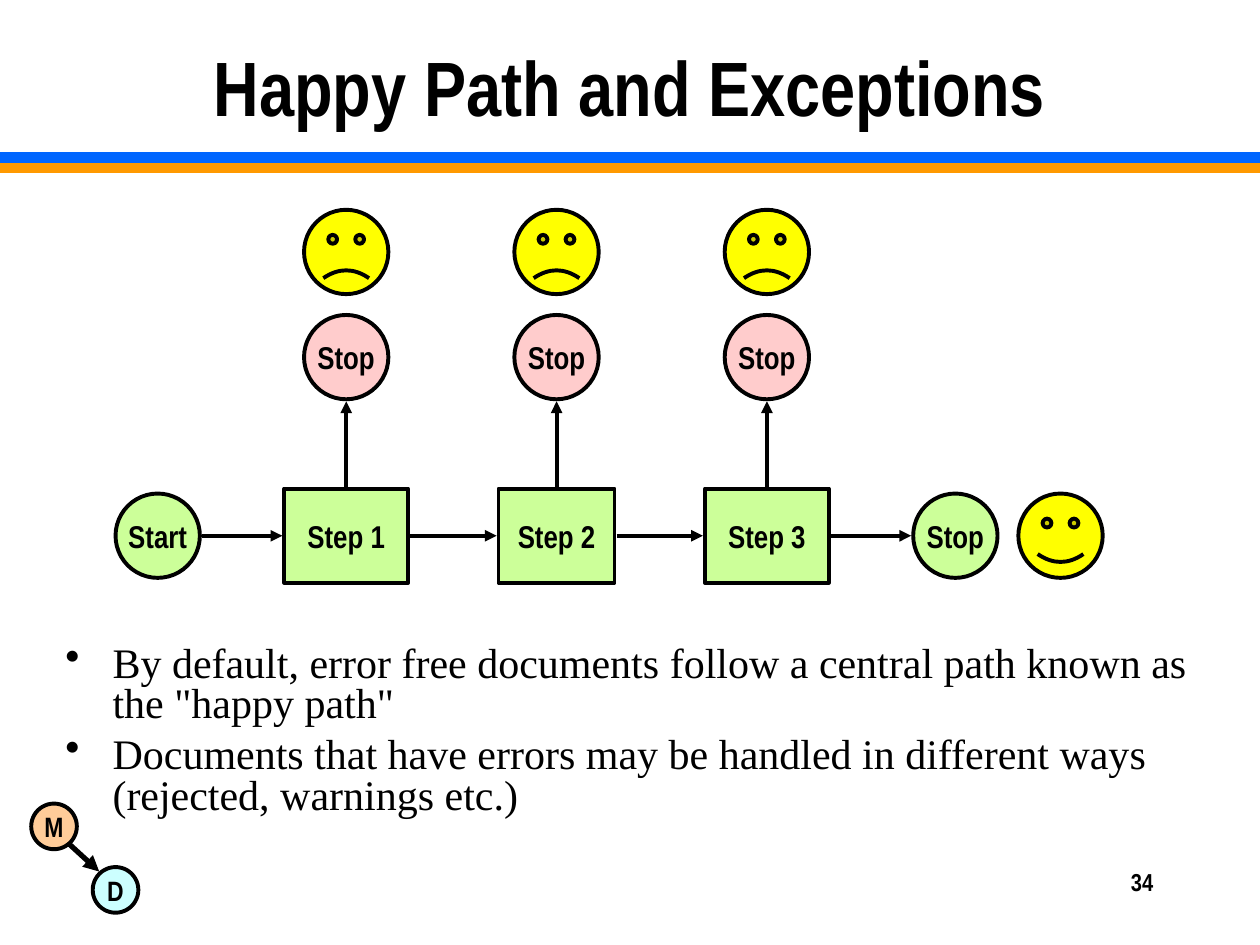
from collections import namedtuple

from lxml.etree import SubElement
from pptx import Presentation
from pptx.dml.color import RGBColor
from pptx.enum.shapes import MSO_CONNECTOR as Link, MSO_SHAPE as Form
from pptx.enum.text import MSO_ANCHOR as Anchor, PP_ALIGN as Align
from pptx.oxml.ns import qn
from pptx.util import Cm, Pt

BLACK = RGBColor(0x00, 0x00, 0x00)
BLUE = RGBColor(0x00, 0x66, 0xFF)
ORANGE = RGBColor(0xFF, 0x99, 0x00)
PEACH = RGBColor(0xFF, 0xCC, 0x99)
CYAN = RGBColor(0xCC, 0xFF, 0xFF)
GREEN = RGBColor(0xCC, 0xFF, 0x99)
PINK = RGBColor(0xFF, 0xCC, 0xCC)
YELLOW = RGBColor(0xFF, 0xFF, 0x00)

NARROW = {"name": "Arial Narrow", "bold": True}
SERIF = {"name": "Times New Roman", "bold": False}
INSETS = {"margin_left": Cm(0.25), "margin_right": Cm(0.25),
          "margin_top": Cm(0.13), "margin_bottom": Cm(0.13)}

Box = namedtuple("Box", "left top width height")


def set_all(target, values):
    """Set each named attribute of the target."""
    for name, value in values.items():
        setattr(target, name, value)


def write(frame, lines, font, size, para_format, frame_format):
    """Fill a text frame with one paragraph for each line."""
    set_all(frame, {**INSETS, **frame_format})
    for index, line in enumerate(lines):
        para = frame.paragraphs[0] if index == 0 else frame.add_paragraph()
        set_all(para, para_format)
        span = para.add_run()
        span.text = line
        set_all(span.font, {**font, "size": Pt(size)})
        span.font.color.rgb = BLACK


def add_text(page, box, lines, font, size, para_format, anchor=Anchor.TOP):
    """Add a wrapping text box and return its frame."""
    frame = page.shapes.add_textbox(*map(Cm, box)).text_frame
    write(frame, lines, font, size, para_format,
          {"word_wrap": True, "vertical_anchor": anchor})
    return frame


def add_node(page, form, x, y, width, height, fill, label="", size=18):
    """Add an outlined shape centred on a point."""
    node = page.shapes.add_shape(form, Cm(x - width / 2), Cm(y - height / 2),
                                 Cm(width), Cm(height))
    node.shadow.inherit = False
    node.fill.solid()
    node.fill.fore_color.rgb = fill
    node.line.color.rgb = BLACK
    node.line.width = Pt(2.25)
    if label:
        write(node.text_frame, [label], NARROW, size, {"alignment": Align.CENTER},
              {"word_wrap": False, "vertical_anchor": Anchor.MIDDLE})
    return node


def add_line(page, start, end, color=BLACK, width=2.25, arrow=True):
    """Add a straight line with an optional arrowhead at its end."""
    line = page.shapes.add_connector(Link.STRAIGHT, *map(Cm, (*start, *end)))
    line.line.color.rgb = color
    line.line.width = Pt(width)
    if arrow:
        SubElement(line.line._get_or_add_ln(), qn("a:tailEnd"), type="triangle")
    SubElement(line._element.spPr, qn("a:effectLst"))


def add_emblem(page, box):
    """Add the two linked circles in the corner."""
    size = 0.92
    first = box.left + size / 2, box.top + size / 2
    second = box.left + box.width - size / 2, box.top + box.height - size / 2
    for center, fill, label in ((first, PEACH, "M"), (second, CYAN, "D")):
        add_node(page, Form.OVAL, *center, size, size, fill, label, 16)
    add_line(page, (first[0] + 0.31, first[1] + 0.36),
             (second[0] - 0.33, second[1] - 0.37), width=3)


def add_bands(page, box):
    """Add the orange and blue rules below the title."""
    for y, color in ((box.top + box.height, ORANGE), (box.top, BLUE)):
        add_line(page, (box.left, y), (box.left + box.width, y), color, 6, False)


def add_bullets(page, box, lines):
    """Add the bulleted body text."""
    frame = add_text(page, box, lines, SERIF, 24,
                     {"line_spacing": 0.8, "space_before": Pt(6)})
    for para in frame.paragraphs:
        props = para._p.get_or_add_pPr()
        props.set("marL", str(Cm(0.95)))
        props.set("indent", str(-Cm(0.95)))
        SubElement(props, qn("a:buChar"), char="•")


def add_face(page, x, y, size, curve):
    """Add a smiling or frowning face."""
    face = add_node(page, Form.SMILEY_FACE, x, y, size, size, YELLOW)
    face.adjustments[0] = curve


def add_flow(page, box):
    """Add the happy path with an exception above each step."""
    size, gap, step_height, curve = 1.7, 0.04, 1.9, 0.0465
    face_y = box.top + size / 2
    stop_y = face_y + 2.12
    path_y = box.top + box.height - step_height / 2
    nodes = [(Form.OVAL, 0.85, size, size, GREEN, "Start")]
    for index, width in enumerate((2.5, 2.34, 2.5)):
        x = 4.65 + 4.24 * index
        nodes.append((Form.RECTANGLE, x, width, step_height, GREEN, f"Step {index + 1}"))
        add_face(page, box.left + x, face_y, size, -curve)
        add_node(page, Form.OVAL, box.left + x, stop_y, size, size, PINK, "Stop")
        add_line(page, (box.left + x, path_y - step_height / 2 - gap),
                 (box.left + x, stop_y + size / 2 + gap))
    nodes.append((Form.OVAL, 16.93, size, size, GREEN, "Stop"))
    for form, x, *rest in nodes:
        add_node(page, form, box.left + x, path_y, *rest)
    for (_, x, width, *_), (_, next_x, next_width, *_) in zip(nodes, nodes[1:]):
        add_line(page, (box.left + x + width / 2 + gap, path_y),
                 (box.left + next_x - next_width / 2 - gap, path_y))
    add_face(page, box.left + box.width - size / 2, path_y, size, curve)


def main():
    """Build and save the deck."""
    deck = Presentation()
    set_all(deck, {"slide_width": Cm(25.4), "slide_height": Cm(19.05)})
    page = deck.slides.add_slide(deck.slide_layouts[6])
    add_emblem(page, Box(0.63, 16.2, 2.16, 2.2))
    add_bands(page, Box(0, 3.18, 25.4, 0.2))
    add_text(page, Box(1.9, 0.3, 21.6, 2.84), ["Happy Path and Exceptions"],
             NARROW, 44, {"alignment": Align.CENTER}, Anchor.MIDDLE)
    add_bullets(page, Box(1.07, 12.9, 23.29, 3.89), [
        'By default, error free documents follow a central path known as the "happy path"',
        "Documents that have errors may be handled in different ways (rejected, warnings etc.)",
    ])
    add_flow(page, Box(2.33, 4.23, 19.9, 7.52))
    add_text(page, Box(18.2, 17.35, 5.3, 1.27), ["34"], NARROW, 14,
             {"alignment": Align.RIGHT})
    deck.save("out.pptx")


if __name__ == "__main__":
    main()
